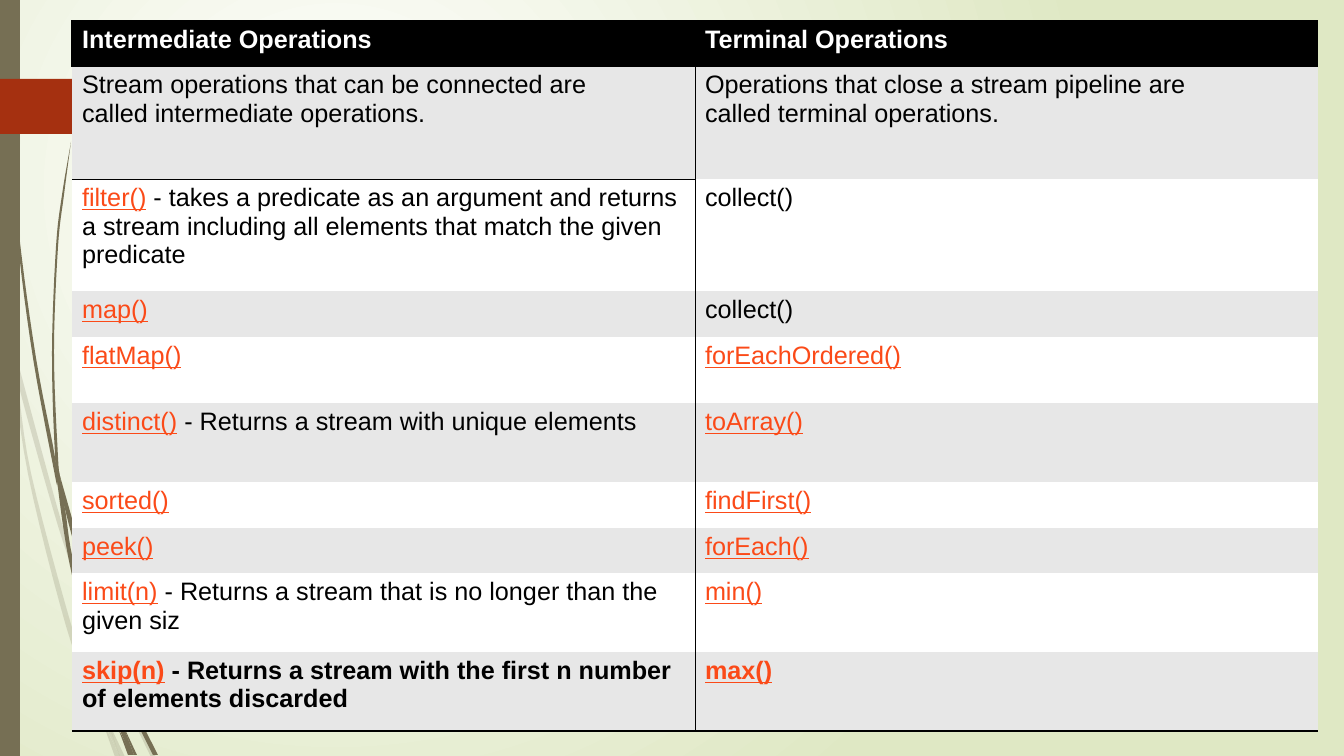
from dataclasses import dataclass

from lxml import etree
from pptx import Presentation
from pptx.dml.color import RGBColor
from pptx.enum.shapes import MSO_SHAPE
from pptx.oxml.ns import qn
from pptx.util import Pt

RECTANGLE = MSO_SHAPE.RECTANGLE
PENTAGON = MSO_SHAPE.PENTAGON
PIXEL = 9071  # EMU per pixel
WIDTH, HEIGHT = 1344, 756


@dataclass(frozen=True)
class Theme:
    font: str = "Arial"
    size: int = 18
    black: str = "000000"
    white: str = "FFFFFF"
    band: str = "E7E7E7"
    link: str = "FB4A18"
    stem: str = "766F54"
    tag: str = "A53010"
    meadow: str = "DFE8C4"


THEME = Theme()

# Each blade of a stem has a left and a right edge, from its upper end down
PALE_BLADES = [
    ([(14, 348), (17, 379), (58, 526), (85, 604)], [(14, 348), (62, 524), (86, 591)]),
    ([(89, 601), (89, 615), (124, 700), (151, 757)], [(89, 601), (93, 612), (128, 698), (156, 757)]),
    ([(106, 717), (120, 757)], [(106, 717), (125, 757)]),
    ([(11, 353), (28, 474), (66, 626), (93, 699), (102, 720)],
     [(11, 353), (17, 379), (31, 473), (71, 624), (94, 688), (100, 713)]),
    ([(102, 720), (115, 757)], [(102, 720), (120, 757)]),
    ([(94, 688), (100, 713), (120, 757)], [(94, 688), (97, 698), (106, 717), (120, 757)]),
]
DARK_BLADES = [
    ([(3, 0), (7, 111), (17, 235), (33, 358), (56, 481)],
     [(4, 0), (8, 110), (19, 234), (36, 358), (55, 457), (57, 485)]),
    ([(60, 476), (65, 509), (89, 597), (107, 650)], [(60, 476), (94, 595), (107, 636)]),
    ([(111, 646), (112, 661), (133, 714), (153, 755)],
     [(111, 646), (114, 654), (137, 712), (158, 755)]),
    ([(57, 481), (69, 561), (94, 664), (112, 714), (118, 728)],
     [(57, 481), (65, 509), (73, 560), (99, 663), (111, 697), (117, 723)]),
    ([(71, 142), (62, 195), (56, 247), (52, 352), (55, 453), (60, 476)],
     [(71, 142), (64, 195), (58, 247), (54, 352), (58, 457), (60, 476)]),
    ([(123, 725), (134, 755)], [(123, 725), (137, 755)]),
    ([(55, 453), (57, 481), (65, 509)], [(55, 453), (60, 476), (65, 509)]),
    ([(118, 728), (128, 755)], [(118, 728), (132, 755)]),
    ([(111, 697), (117, 723), (131, 755)], [(111, 697), (117, 712), (123, 725), (134, 755)]),
]

# Row height, then for each column the linked and the plain part of its text
ROWS = [
    (45, ("", "Intermediate Operations"), ("", "Terminal Operations")),
    (113, ("", "Stream operations that can be connected are called\u00a0intermediate operations."),
     ("", "Operations that close a stream pipeline are called\u00a0terminal operations.")),
    (112, ("filter()", " - takes a predicate as an argument and returns a stream "
           "including all elements that match the given predicate"), ("", "collect()")),
    (46, ("map()", ""), ("", "collect()")),
    (66, ("flatMap()", ""), ("forEachOrdered()", "")),
    (79, ("distinct()", " - Returns a stream with unique elements"), ("toArray()", "")),
    (46, ("sorted()", ""), ("findFirst()", "")),
    (45, ("peek()", ""), ("forEach()", "")),
    (79, ("limit(n)", " - Returns a stream that is no longer than the given siz"),
     ("min()", "")),
    (79, ("skip(n)", " - Returns a stream with the first n number of elements discarded"),
     ("max()", "")),
]


def scaled(*lengths):
    return [round(length * PIXEL) for length in lengths]


def paint(shape, color):
    shape.shadow.inherit = False
    shape.fill.solid()
    shape.fill.fore_color.rgb = RGBColor.from_string(color)
    shape.line.fill.background()
    return shape


def add_text(paragraph, text, color=THEME.black, bold=False, underline=False):
    run = paragraph.add_run()
    run.text = text
    run.font.name, run.font.size = THEME.font, Pt(THEME.size)
    run.font.bold, run.font.underline = bold, underline
    run.font.color.rgb = RGBColor.from_string(color)


def smooth(points, steps=6):
    """Catmull-Rom curve through the points."""
    padded = [points[0], *points, points[-1]]
    curve = []
    for a, b, c, d in zip(padded, padded[1:], padded[2:], padded[3:]):
        for t in (step / steps for step in range(steps)):
            curve.append(tuple(
                q + ((r - p) * t + (2 * p - 5 * q + 4 * r - s) * t**2
                     + (3 * q - p - 3 * r + s) * t**3) / 2
                for p, q, r, s in zip(a, b, c, d)))
    return curve + [points[-1]]


def add_blade(slide, left, top, edges, opacity=100):
    left_edge, right_edge = edges
    outline = [scaled(left + x, top + y)
               for x, y in smooth(left_edge) + smooth(right_edge)[::-1]]
    builder = slide.shapes.build_freeform(*outline[0])
    builder.add_line_segments(outline[1:], close=True)
    shape = paint(builder.convert_to_shape(), THEME.stem)
    if opacity < 100:
        color = shape._element.spPr.find(qn("a:solidFill"))[0]
        etree.SubElement(color, qn("a:alpha"), val=str(opacity * 1000))


def add_backdrop(slide, left, top, height):
    # Gradient centred at a quarter of the slide
    fill = slide.background.fill
    fill.gradient()
    for stop, color, position in zip(fill.gradient_stops, (THEME.white, THEME.meadow), (0, 1)):
        stop.color.rgb = RGBColor.from_string(color)
        stop.position = position
    gradient = next(slide._element.iter(qn("a:gradFill")))
    linear = gradient.find(qn("a:lin"))
    circle = etree.Element(qn("a:path"), path="circle")
    etree.SubElement(circle, qn("a:fillToRect"), l="50000", t="50000", r="100000", b="100000")
    gradient.replace(linear, circle)

    # Stems, side bar and tag
    for edges in PALE_BLADES:
        add_blade(slide, left, top, edges, opacity=20)
    for edges in DARK_BLADES:
        add_blade(slide, left, top, edges)
    paint(slide.shapes.add_shape(RECTANGLE, *scaled(left, top, 20, height)), THEME.stem)
    tag = slide.shapes.add_shape(PENTAGON, *scaled(left, top + 79, 175, 55))
    paint(tag, THEME.tag)


def set_borders(cell, widths):
    properties = cell._tc.get_or_add_tcPr()
    for index, side in enumerate("LRTB"):
        width = widths.get(side, 0)
        line = etree.Element(qn(f"a:ln{side}"), w=str(Pt(width)))
        if width:
            fill = etree.SubElement(line, qn("a:solidFill"))
            etree.SubElement(fill, qn("a:srgbClr"), val=THEME.black)
        else:
            etree.SubElement(line, qn("a:noFill"))
        properties.insert(index, line)


def border_widths(row, column):
    if row == 0:
        return {"L": 1, "R": 1 - column, "T": 1 + column, "B": 1 + column}
    widths = {"R" if column == 0 else "L": 0.25}
    if row == 1:
        widths["T"] = 1 + column
    if (row, column) in ((1, 0), (2, 0)):
        widths["B" if row == 1 else "T"] = 0.25
    if row == len(ROWS) - 1:
        widths["B"] = 2
    return widths


def add_operations_table(slide, left, top, width):
    height = sum(row[0] for row in ROWS)
    frame = slide.shapes.add_table(len(ROWS), 2, *scaled(left, top, width, height))
    table = frame.table
    table.first_row = table.horz_banding = False
    for column in table.columns:
        column.width = scaled(width / 2)[0]
    for row, (row_height, *texts) in enumerate(ROWS):
        table.rows[row].height = scaled(row_height)[0]
        header = row == 0
        bold = row in (0, len(ROWS) - 1)
        background = THEME.black if header else (THEME.white, THEME.band)[row % 2]
        for column, (linked, plain) in enumerate(texts):
            cell = table.cell(row, column)
            cell.fill.solid()
            cell.fill.fore_color.rgb = RGBColor.from_string(background)
            set_borders(cell, border_widths(row, column))
            paragraph = cell.text_frame.paragraphs[0]
            if linked:
                add_text(paragraph, linked, color=THEME.link, bold=bold, underline=True)
            if plain:
                add_text(paragraph, plain, bold=bold,
                         color=THEME.white if header else THEME.black)


presentation = Presentation()
presentation.slide_width, presentation.slide_height = scaled(WIDTH, HEIGHT)
operations_slide = presentation.slides.add_slide(presentation.slide_layouts[6])
add_backdrop(operations_slide, 0, 0, HEIGHT)
add_operations_table(operations_slide, 72, 21, 1246)
presentation.save("out.pptx")
